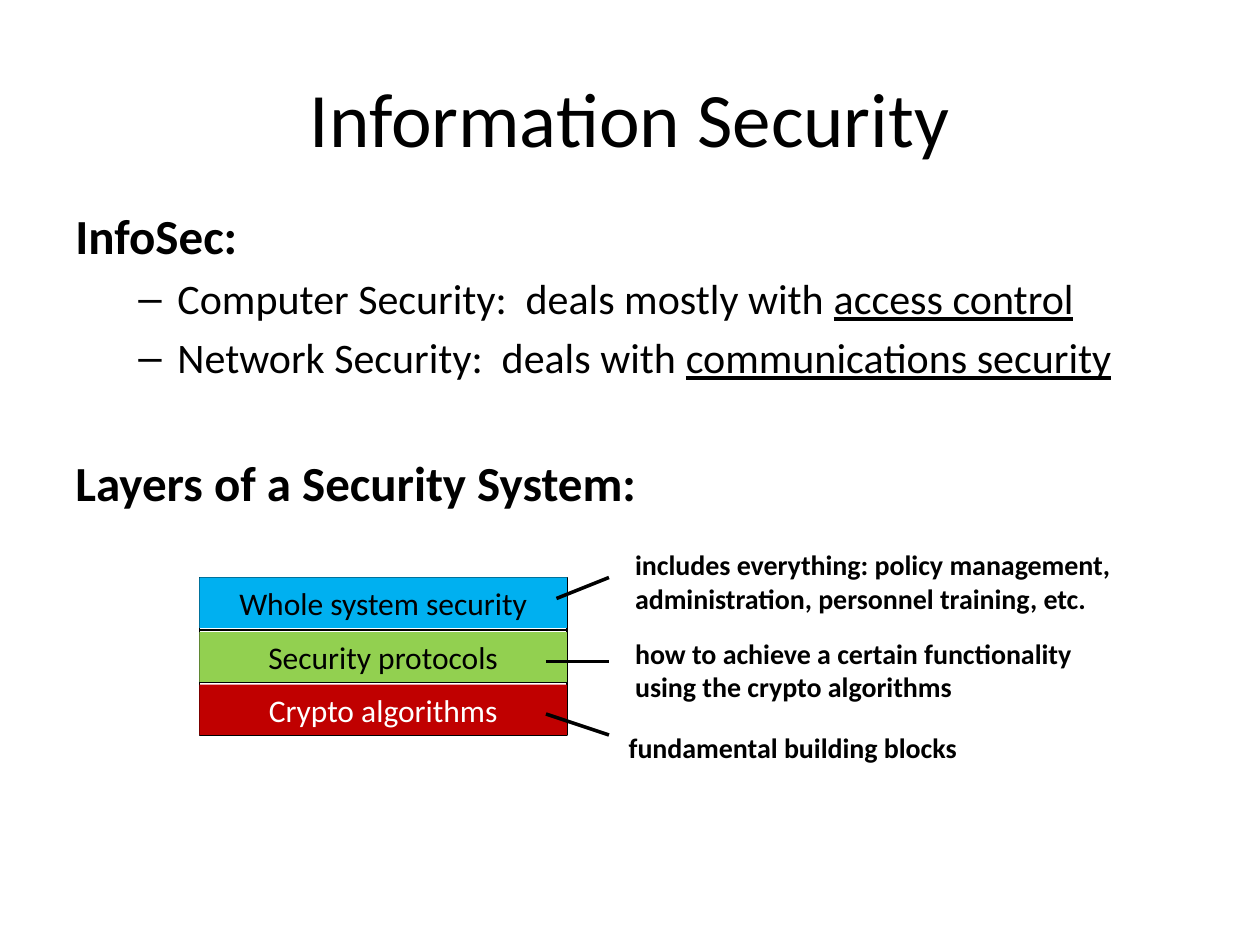
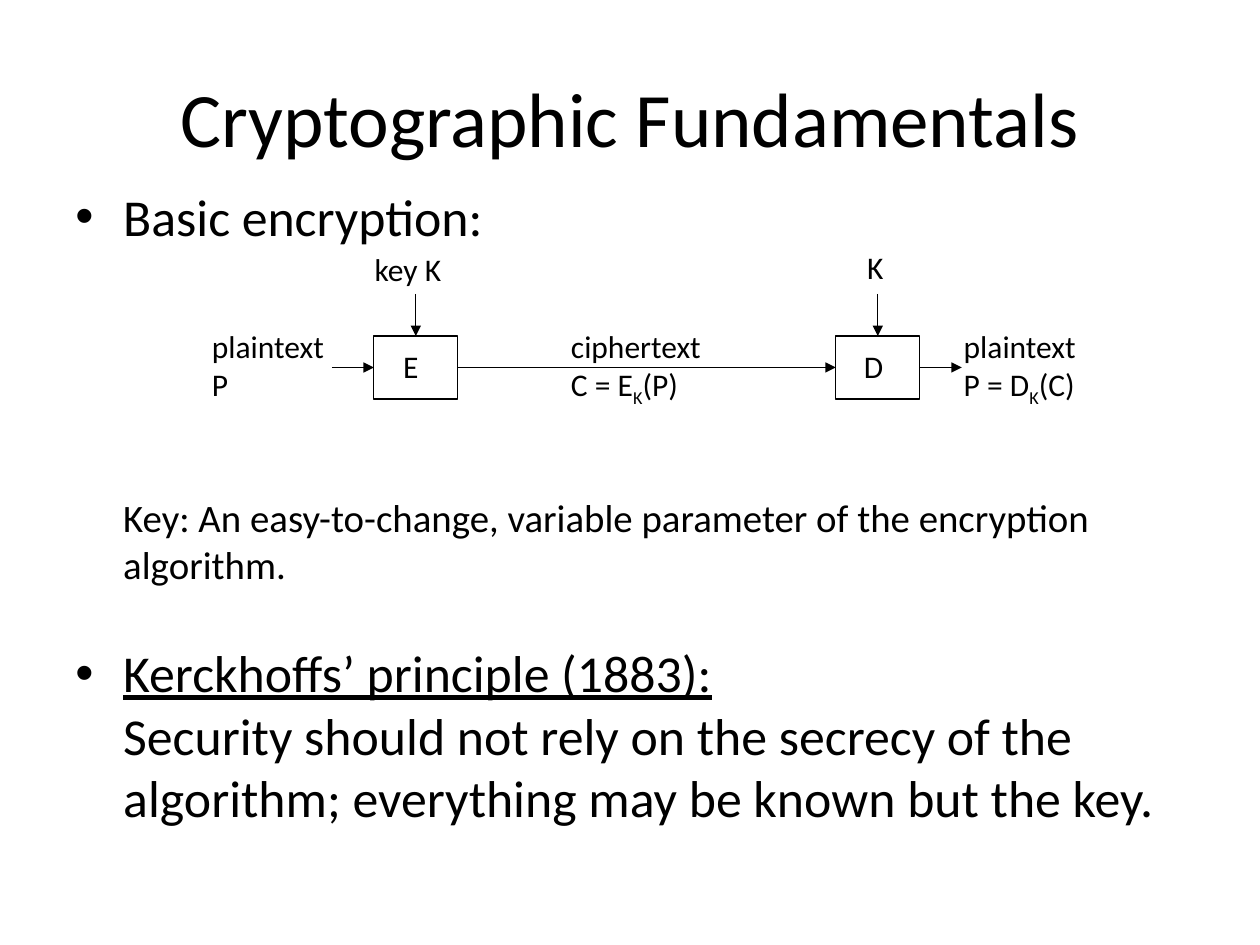
from lxml.etree import SubElement
from pptx import Presentation
from pptx.dml.color import RGBColor
from pptx.enum.shapes import MSO_CONNECTOR as CONN, MSO_SHAPE as SHAPE
from pptx.enum.text import MSO_ANCHOR as ANCHOR, PP_ALIGN as ALIGN
from pptx.oxml.ns import qn
from pptx.util import Inches, Pt

BLACK = RGBColor(0x00, 0x00, 0x00)
WHITE = RGBColor(0xFF, 0xFF, 0xFF)
BLUE = RGBColor(0x00, 0xB0, 0xF0)
GREEN = RGBColor(0x92, 0xD0, 0x50)
RED = RGBColor(0xC0, 0x00, 0x00)
FONT = "Calibri"
COLUMNS, ROWS = 120, 90
WIDTH, HEIGHT = Inches(10), Inches(7.5)

TITLE_AT = (6, 3.6, 108, 15)

# Body paragraphs: size, space before, left margin, hanging indent, bullet, runs
SECURITY_TITLE = "Information Security"
SECURITY_AT = (6, 19, 110, 61.4)
SECURITY_BODY = [
    (28, 0, 0.38, 0.38, None, [("InfoSec:", "b")]),
    (24, 4.8, 0.81, 0.31, "–", [
        ("Computer Security:  deals mostly with ", ""), ("access control", "u")]),
    (24, 4.8, 0.81, 0.31, "–", [
        ("Network Security:  deals with ", ""), ("communications security", "u")]),
    (28, 40, 0.38, 0.38, None, [("Layers of a Security System:", "b")]),
]
STACK_LEFT, STACK_TOP, LAYER_W, LAYER_H, FILL_H = 19, 55, 35, 5, 4.8
LAYERS = [
    ("Whole system security", BLUE, BLACK, 0),
    ("Security protocols", GREEN, BLACK, 0.2),
    ("Crypto algorithms", RED, WHITE, 0.2),
]
NOTES = [
    ((59.3, 51.6, 48.8, 7.7), ["includes everything: policy management,",
                               "administration, personnel training, etc."]),
    ((59.3, 60, 46.7, 7.7), ["how to achieve a certain functionality",
                             "using the crypto algorithms"]),
    ((58.7, 69, 35.3, 4.4), ["fundamental building blocks"]),
]
NOTE_LINES = [((53, 57), (58, 55)), ((52, 63), (58, 63)), ((52, 68), (58, 70))]

CRYPTO_TITLE = "Cryptographic Fundamentals"
CRYPTO_AT = (6, 17, 108, 64)
CRYPTO_BODY = [
    (29.6, 0, 0.38, 0.38, "•", [("Basic encryption:", "")]),
    (22.2, 141, 0.38, 0, None, [
        ("Key: An easy-to-change, variable parameter of the encryption algorithm.", "")]),
    (29.6, 31, 0.38, 0.38, "•", [
        ("Kerckhoffs’ principle (1883):", "u"), ("\n", ""),
        ("Security should not rely on the secrecy of the algorithm; "
         "everything may be known but the key.", "")]),
]
BOX_TOP, BOX_W, BOX_H = 32, 8, 6
ENCRYPT_LEFT, DECRYPT_LEFT = 35.6, 79.6
ARROW = 4
LABELS = [
    ((37.2, 32.5, 4.4, 4.8), [[("E", "")]]),
    ((81.1, 32.5, 4.6, 4.8), [[("D", "")]]),
    ((34.5, 23.2, 10, 4.8), [[("key K", "")]]),
    ((81.4, 23, 4.4, 4.8), [[("K", "")]]),
    ((19, 30.6, 13.6, 8.4), [[("plaintext", "")], [("P", "")]]),
    ((53.2, 30.6, 15.4, 8.4), [[("ciphertext", "")],
                               [("C = E", ""), ("K", "s"), ("(P)", "")]]),
    ((90.6, 30.6, 15.5, 8.4), [[("plaintext", "")],
                               [("P = D", ""), ("K", "s"), ("(C)", "")]]),
]


def x(columns):
    return round(WIDTH * columns / COLUMNS)


def y(rows):
    return round(HEIGHT * rows / ROWS)


def place(at):
    left, top, width, height = at
    return x(left), y(top), x(width), y(height)


def add_runs(p, runs, size, color=BLACK):
    for text, style in runs:
        if text == "\n":
            p.add_line_break()
            continue
        r = p.add_run()
        r.text = text
        r.font.name, r.font.size = FONT, Pt(size)
        r.font.color.rgb = color
        r.font.bold = "b" in style
        r.font.underline = "u" in style
        if "s" in style:
            r._r.get_or_add_rPr().set("baseline", "-25000")


def next_paragraph(tf, index):
    return tf.add_paragraph() if index else tf.paragraphs[0]


def add_text(s, at, paragraphs, size, wrap=False):
    tf = s.shapes.add_textbox(*place(at)).text_frame
    tf.word_wrap = wrap
    for i, runs in enumerate(paragraphs):
        add_runs(next_paragraph(tf, i), runs, size)
    return tf


def add_title(s, title):
    tf = add_text(s, TITLE_AT, [[(title, "")]], 44, wrap=True)
    tf.vertical_anchor = ANCHOR.MIDDLE
    tf.paragraphs[0].alignment = ALIGN.CENTER


def add_body(s, at, body):
    tf = s.shapes.add_textbox(*place(at)).text_frame
    tf.word_wrap = True
    for i, (size, before, margin, hanging, bullet, runs) in enumerate(body):
        p = next_paragraph(tf, i)
        p.space_before = Pt(before)
        pPr = p._p.get_or_add_pPr()
        pPr.set("marL", str(Inches(margin)))
        pPr.set("indent", str(-Inches(hanging)))
        if bullet:
            SubElement(pPr, qn("a:buFont"), typeface="Arial")
            SubElement(pPr, qn("a:buChar"), char=bullet)
        add_runs(p, runs, size)


def add_box(s, at, fill=None):
    sp = s.shapes.add_shape(SHAPE.RECTANGLE, *place(at))
    sp.shadow.inherit = False
    if fill is None:
        sp.fill.background()
        sp.line.color.rgb, sp.line.width = BLACK, Pt(0.75)
    else:
        sp.fill.solid()
        sp.fill.fore_color.rgb = fill
        sp.line.fill.background()
    return sp


def add_line(s, start, end, width=0.75, arrow=True):
    line = s.shapes.add_connector(CONN.STRAIGHT, x(start[0]), y(start[1]),
                                  x(end[0]), y(end[1]))
    line.line.color.rgb, line.line.width = BLACK, Pt(width)
    if arrow:
        SubElement(line.line._get_or_add_ln(), qn("a:tailEnd"), type="triangle")
    SubElement(line._element.spPr, qn("a:effectLst"))
    return line


def new_slide(prs, title, at, body):
    s = prs.slides.add_slide(prs.slide_layouts[6])
    add_title(s, title)
    add_body(s, at, body)
    return s


def build_security(prs):
    s = new_slide(prs, SECURITY_TITLE, SECURITY_AT, SECURITY_BODY)
    for i, (name, fill, color, offset) in enumerate(LAYERS):
        top = STACK_TOP + i * LAYER_H
        add_box(s, (STACK_LEFT, top, LAYER_W, LAYER_H))
        sp = add_box(s, (STACK_LEFT, top + offset, LAYER_W, FILL_H), fill)
        p = sp.text_frame.paragraphs[0]
        p.alignment = ALIGN.CENTER
        add_runs(p, [(name, "")], 18, color)
    for at, lines in NOTES:
        add_text(s, at, [[(line, "b")] for line in lines], 16)
    for start, end in NOTE_LINES:
        add_line(s, start, end, width=0, arrow=False)


def build_crypto(prs):
    s = new_slide(prs, CRYPTO_TITLE, CRYPTO_AT, CRYPTO_BODY)
    middle = BOX_TOP + BOX_H / 2
    boxes = []
    for left in (ENCRYPT_LEFT, DECRYPT_LEFT):
        box = add_box(s, (left, BOX_TOP, BOX_W, BOX_H))
        center = left + BOX_W / 2
        key = add_line(s, (center, BOX_TOP - ARROW), (center, BOX_TOP))
        key.end_connect(box, 0)
        boxes.append(box)
    encrypt, decrypt = boxes
    encrypt_right, decrypt_right = ENCRYPT_LEFT + BOX_W, DECRYPT_LEFT + BOX_W
    plain_in = add_line(s, (ENCRYPT_LEFT - ARROW, middle), (ENCRYPT_LEFT, middle))
    plain_in.end_connect(encrypt, 1)
    cipher = add_line(s, (encrypt_right, middle), (DECRYPT_LEFT, middle))
    cipher.begin_connect(encrypt, 3)
    cipher.end_connect(decrypt, 1)
    plain_out = add_line(s, (decrypt_right, middle), (decrypt_right + ARROW, middle))
    plain_out.begin_connect(decrypt, 3)
    for at, paragraphs in LABELS:
        add_text(s, at, paragraphs, 18)


def main():
    prs = Presentation()
    prs.slide_width, prs.slide_height = WIDTH, HEIGHT
    build_security(prs)
    build_crypto(prs)
    prs.save("out.pptx")


if __name__ == "__main__":
    main()
